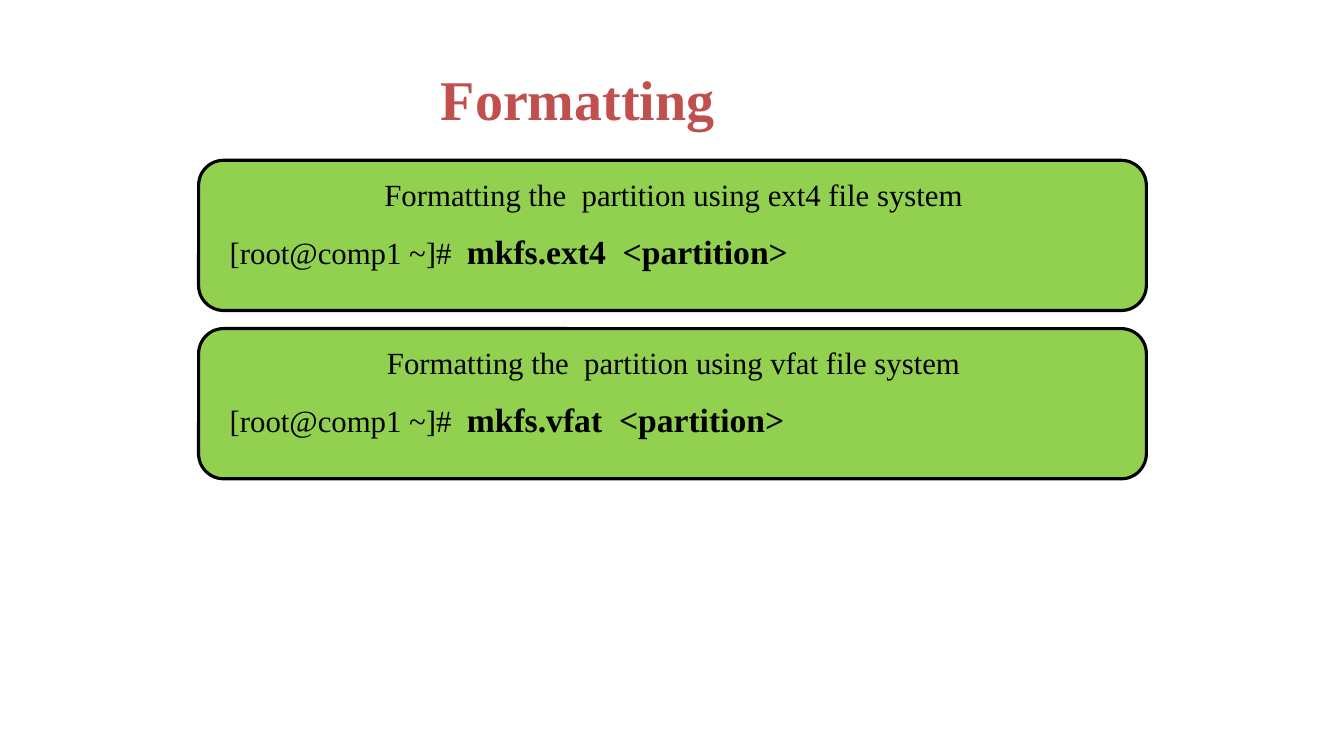
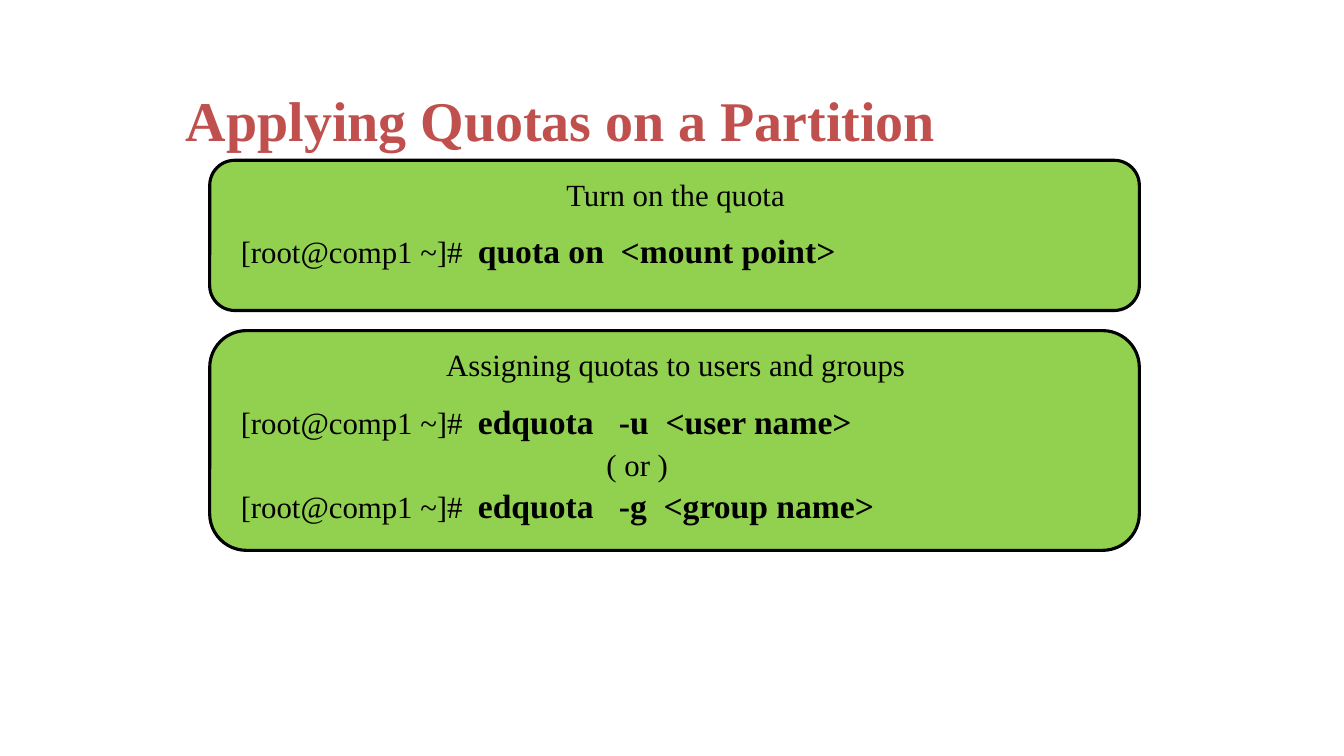
from dataclasses import dataclass
from typing import Any

from pptx import Presentation
from pptx.dml.color import RGBColor
from pptx.enum.shapes import MSO_SHAPE
from pptx.enum.text import MSO_ANCHOR, PP_ALIGN
from pptx.util import Pt

PX = 9144


@dataclass(frozen=True)
class Theme:
    """Colours, fonts and type sizes of the deck."""
    red: RGBColor = RGBColor(0xC0, 0x50, 0x4D)
    green: RGBColor = RGBColor(0x92, 0xD0, 0x50)
    black: RGBColor = RGBColor(0, 0, 0)
    face: str = "Times New Roman"
    title: Pt = Pt(40)
    text: Pt = Pt(22)
    code: Pt = Pt(24)
    lead: Pt = Pt(30)
    edge: Pt = Pt(2.25)


@dataclass(frozen=True)
class Box:
    """A frame in px."""
    left: int
    top: int
    width: int
    height: int

    def emu(self) -> list[int]:
        """Return the frame in EMU."""
        return [n * PX for n in (self.left, self.top, self.width, self.height)]


@dataclass(frozen=True)
class Line:
    """A command after its prompt, or a centred note."""
    text: str
    note: bool = False
    shift: int = 0


@dataclass(frozen=True)
class Card:
    """A rounded panel with a heading and command lines."""
    head: str
    lines: tuple[Line, ...]
    height: int
    body: Box


@dataclass(frozen=True)
class Page:
    """One slide: its title and a stack of cards."""
    title: str
    frame: Box
    left: int
    width: int
    gap: int
    cards: tuple[Card, ...]


THEME = Theme()
PROMPT = "[root@comp1 ~]#  "
TOP = 159
HEAD = Box(20, 10, -38, 47)
TITLE = {"name": THEME.face, "size": THEME.title, "bold": True}
PLAIN = {"name": THEME.face, "size": THEME.text, "bold": False}
CODE = {"name": THEME.face, "size": THEME.code, "bold": True}

PAGES = (
    Page("Formatting", Box(103, 25, 940, 144), 197, 940, 18, tuple(
        Card(f"Formatting the  partition using {kind} file system",
             (Line(f"mkfs.{kind}  <partition>"),), 149, Box(21, 63, 902, 52))
        for kind in ("ext4", "vfat"))),
    Page("Applying Quotas on a Partition", Box(86, 46, 940, 144), 208, 922, 20, (
        Card("Turn on the quota", (Line("quota on  <mount point>"),),
             149, Box(21, 63, 884, 50)),
        Card("Assigning quotas to users and groups",
             (Line("edquota   -u  <user name>"), Line("( or )", True, 152),
              Line("edquota   -g  <group name>")),
             218, Box(21, 63, 654, 136)))),
)


def style(item: Any, look: dict[str, Any]) -> None:
    """Set each format value on an object."""
    for key, value in look.items():
        setattr(item, key, value)


def write(para: Any, text: str, look: dict[str, Any], tint: RGBColor) -> None:
    """Add a styled run to a paragraph."""
    run = para.add_run()
    run.text = text
    style(run.font, look)
    run.font.color.rgb = tint


def panel(shapes: Any, box: Box, anchor: MSO_ANCHOR, fill: bool = True) -> Any:
    """Add a text box and return its text frame."""
    shape = shapes.add_textbox(*box.emu())
    if fill:
        shape.fill.solid()
        shape.fill.fore_color.rgb = THEME.green
    style(shape.text_frame, {"word_wrap": True, "vertical_anchor": anchor})
    return shape.text_frame


def label(shapes: Any, box: Box, text: str, look: dict[str, Any],
          tint: RGBColor, anchor: MSO_ANCHOR, fill: bool) -> None:
    """Add one centred line of text."""
    para = panel(shapes, box, anchor, fill).paragraphs[0]
    para.alignment = PP_ALIGN.CENTER
    write(para, text, look, tint)


def command(para: Any, line: Line) -> None:
    """Fill a paragraph with a command or a note."""
    side = PP_ALIGN.CENTER if line.note else PP_ALIGN.LEFT
    style(para, {"alignment": side, "line_spacing": THEME.lead})
    if line.note:
        para._p.get_or_add_pPr().set("marL", str(line.shift * PX))
        write(para, line.text, PLAIN, THEME.black)
    else:
        write(para, PROMPT, PLAIN, THEME.black)
        write(para, line.text, CODE, THEME.black)


def draw(slide: Any, card: Card, left: int, top: int, width: int) -> None:
    """Draw a card as one group."""
    shapes = slide.shapes.add_group_shape().shapes
    back = shapes.add_shape(MSO_SHAPE.ROUNDED_RECTANGLE,
                            *Box(left, top, width, card.height).emu())
    back.shadow.inherit = False
    back.fill.solid()
    back.fill.fore_color.rgb = THEME.green
    back.line.color.rgb = THEME.black
    back.line.width = THEME.edge
    head = Box(left + HEAD.left, top + HEAD.top, width + HEAD.width, HEAD.height)
    label(shapes, head, card.head, PLAIN, THEME.black, MSO_ANCHOR.TOP, True)
    spot = card.body
    body = Box(left + spot.left, top + spot.top, spot.width, spot.height)
    frame = panel(shapes, body, MSO_ANCHOR.TOP)
    for num, line in enumerate(card.lines):
        command(frame.add_paragraph() if num else frame.paragraphs[0], line)


def build(deck: Any, page: Page) -> None:
    """Add one slide with its title and cards."""
    slide = deck.slides.add_slide(deck.slide_layouts[6])
    label(slide.shapes, page.frame, page.title, TITLE, THEME.red,
          MSO_ANCHOR.MIDDLE, False)
    top = TOP
    for card in page.cards:
        draw(slide, card, page.left, top, page.width)
        top += card.height + page.gap


def main() -> None:
    """Build and save the deck."""
    deck = Presentation()
    style(deck, {"slide_width": 1333 * PX, "slide_height": 750 * PX})
    for page in PAGES:
        build(deck, page)
    deck.save("out.pptx")


if __name__ == "__main__":
    main()
